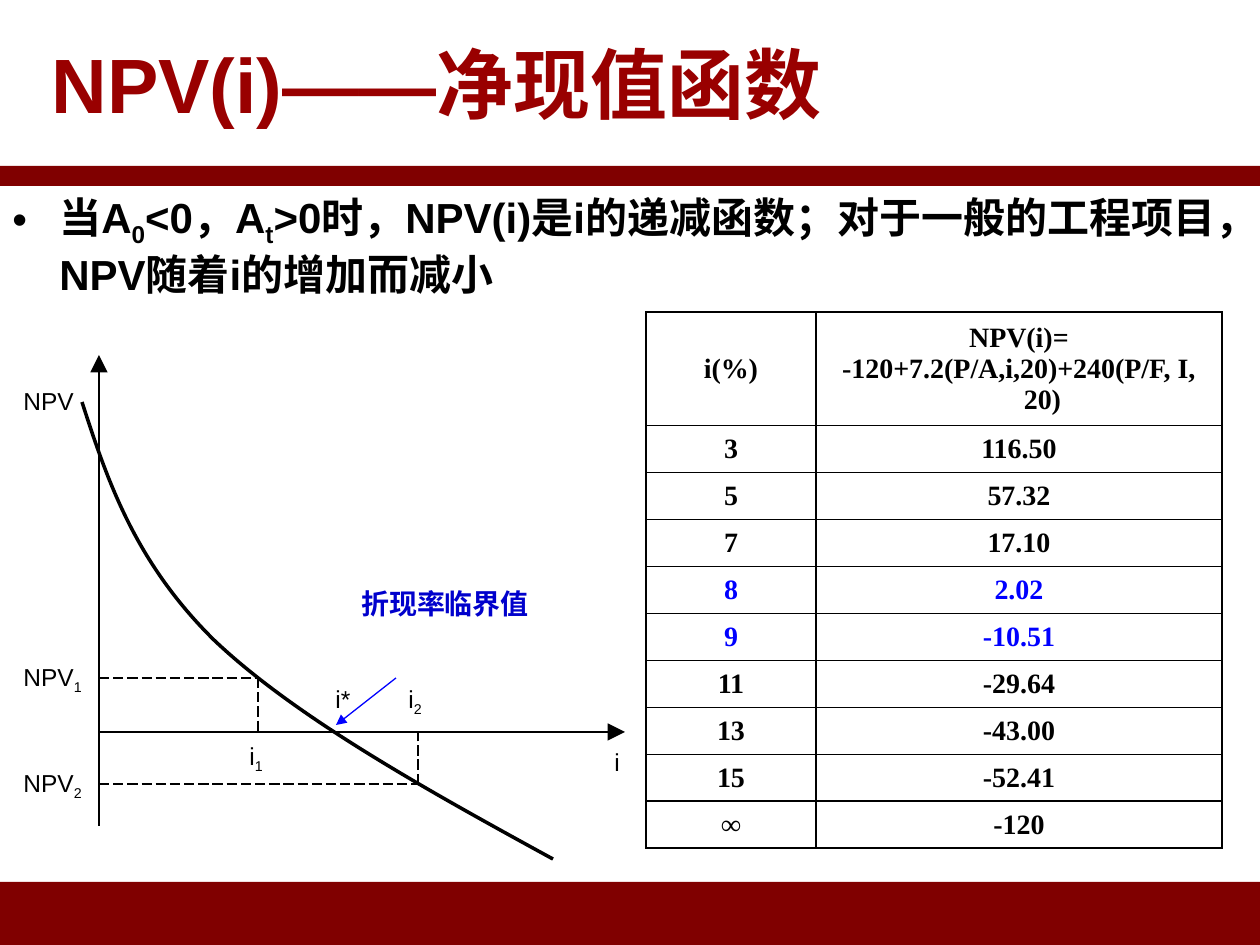
from dataclasses import dataclass

from lxml import etree
from pptx import Presentation, util as u
from pptx.dml.color import RGBColor
from pptx.enum import dml, shapes, text
from pptx.oxml import ns

PX = 914400 / 126  # EMU in one px


@dataclass
class Theme:
    maroon: str = "800000"
    title: str = "990000"
    ink: str = "000000"
    blue: str = "0000FF"
    note: str = "0000CC"
    white: str = "FFFFFF"
    sans: str = "Arial"
    serif: str = "Times New Roman"
    title_size: int = 44
    body_size: int = 24
    table_size: int = 16
    label_size: int = 14


theme = Theme()


def write(frame, *lines, size=theme.label_size, font=theme.sans, color=theme.ink,
          bold=False, align=text.PP_ALIGN.LEFT, indent=0):
    """Fill a text frame; within a line, the parts between | marks are subscripts in turn."""
    frame.word_wrap = True
    for index, line in enumerate(lines):
        paragraph = frame.add_paragraph() if index else frame.paragraphs[0]
        paragraph.alignment = align
        if indent:
            properties = paragraph._p.get_or_add_pPr()
            properties.set("marL", str(round(indent * PX)))
            properties.set("indent", str(-round(indent * PX)))
        for part, words in enumerate(line.split("|")):
            if not words:
                continue
            run = paragraph.add_run()
            run.text = words
            run.font.size = u.Pt(size)
            run.font.name = font
            run.font.bold = bold
            run.font.color.rgb = RGBColor.from_string(color)
            if part % 2:
                run._r.get_or_add_rPr().set("baseline", "-25000")


def draw_line(parent, start, end, color=theme.ink, dashed=False, head=None):
    """Draw a thin straight line, with an arrowhead of the given size at its end."""
    line = parent.add_connector(shapes.MSO_CONNECTOR.STRAIGHT,
                                *(round(value * PX) for value in (*start, *end)))
    line.line.width = u.Pt(0.75)
    line.line.color.rgb = RGBColor.from_string(color)
    if dashed:
        line.line.dash_style = dml.MSO_LINE.LONG_DASH
    if head:
        etree.SubElement(line.line._get_or_add_ln(), ns.qn("a:tailEnd"),
                         type="triangle", w=head, len=head)
    etree.SubElement(line._element.spPr, ns.qn("a:effectLst"))


presentation = Presentation()
presentation.slide_width, presentation.slide_height = round(1260 * PX), round(945 * PX)
slide = presentation.slides.add_slide(presentation.slide_layouts[5])

# Title
title = slide.shapes.title
title.left, title.top, title.width, title.height = (round(v * PX) for v in (39, 1, 1126, 163))
title.fill.solid()
title.fill.fore_color.rgb = RGBColor.from_string(theme.white)
title.text_frame.vertical_anchor = text.MSO_ANCHOR.MIDDLE
write(title.text_frame, "NPV(i)——净现值函数", size=theme.title_size,
      color=theme.title, bold=True)

# Bars under the title and at the foot
for top, height in ((166, 20), (882, 63)):
    bar = slide.shapes.add_shape(shapes.MSO_SHAPE.RECTANGLE,
                                 *(round(v * PX) for v in (0, top, 1260, height)))
    bar.shadow.inherit = False
    bar.fill.solid()
    bar.fill.fore_color.rgb = RGBColor.from_string(theme.maroon)
    bar.line.fill.background()

# Bulleted statement
body = slide.shapes.add_textbox(*(round(v * PX) for v in (0, 185, 1260, 120)))
bullet_properties = body.text_frame.paragraphs[0]._p.get_or_add_pPr()
etree.SubElement(bullet_properties, ns.qn("a:buFont"), typeface=theme.sans)
etree.SubElement(bullet_properties, ns.qn("a:buChar"), char="•")
write(body.text_frame,
      "当A|0|<0，A|t|>0时，NPV(i)是i的递减函数；对于一般的工程项目，NPV随着i的增加而减小",
      size=theme.body_size, bold=True, indent=47)

# Diagram: axes
diagram = slide.shapes.add_group_shape().shapes
axis_x, axis_y = 99, 732
draw_line(diagram, (axis_x, axis_y), (625, axis_y), head="lg")
draw_line(diagram, (axis_x, 826), (axis_x, 355), head="lg")

# Diagram: falling curve, two Bezier segments of three points each
builder = diagram.build_freeform(82, 402, scale=PX)
builder.add_line_segments([(108, 483), (136, 563), (214, 640),
                           (294, 716), (423, 788), (553, 859)], close=False)
curve = builder.convert_to_shape()
curve.shadow.inherit = False
curve.fill.background()
curve.line.width = u.Pt(2)
curve.line.color.rgb = RGBColor.from_string(theme.ink)
segments = list(curve._element.iter(ns.qn("a:lnTo")))
outline = segments[0].getparent()
for first in range(0, len(segments), 3):
    bezier = etree.SubElement(outline, ns.qn("a:cubicBezTo"))
    for segment in segments[first:first + 3]:
        bezier.append(segment[0])
        outline.remove(segment)

# Diagram: dashed guides from each point on the curve to both axes
for x, y in ((258, 678), (418, 784)):
    draw_line(diagram, (axis_x, y), (x, y), dashed=True)
    draw_line(diagram, (x, y), (x, axis_y), dashed=True)

# Diagram: labels
for label, left, top, width in (
    ("NPV|1", 11, 656, 87), ("NPV|2", 11, 762, 87), ("i|1", 237, 735, 44),
    ("i|2", 396, 678, 44), ("i*", 323, 678, 44), ("NPV", 11, 380, 87), ("i", 602, 741, 44),
):
    box = diagram.add_textbox(*(round(v * PX) for v in (left, top, width, 42)))
    write(box.text_frame, label)

# Diagram: critical discount rate
draw_line(diagram, (396, 678), (336, 725), color=theme.blue, head="med")
note = diagram.add_textbox(*(round(v * PX) for v in (336, 580, 218, 47)))
write(note.text_frame, "折现率临界值", size=theme.table_size, color=theme.note,
      bold=True, align=text.PP_ALIGN.CENTER)

# Table of values
rows = [
    (["i(%)"], ["NPV(i)=", "-120+7.2(P/A,i,20)+240(P/F, I, 20)"]),
    *(([rate], [value]) for rate, value in (
        ("3", "116.50"), ("5", "57.32"), ("7", "17.10"), ("8", "2.02"), ("9", "-10.51"),
        ("11", "-29.64"), ("13", "-43.00"), ("15", "-52.41"), ("∞", "-120"))),
]
critical_rates = (["8"], ["9"])
table = slide.shapes.add_table(len(rows), 2,
                               *(round(v * PX) for v in (646, 312, 576, 536))).table
table.first_row = table.horz_banding = False
for column, width in zip(table.columns, (170, 406)):
    column.width = round(width * PX)
for row_index, row in enumerate(rows):
    table.rows[row_index].height = round((47 if row_index else 113) * PX)
    for column_index, lines in enumerate(row):
        cell = table.cell(row_index, column_index)
        cell.vertical_anchor = text.MSO_ANCHOR.MIDDLE
        for side in ("lnL", "lnR", "lnT", "lnB"):
            border = etree.SubElement(cell._tc.get_or_add_tcPr(), ns.qn(f"a:{side}"),
                                      w=str(u.Pt(1)))
            paint = etree.SubElement(border, ns.qn("a:solidFill"))
            etree.SubElement(paint, ns.qn("a:srgbClr"), val=theme.ink)
        cell.fill.background()
        write(cell.text_frame, *lines, size=theme.table_size, font=theme.serif, bold=True,
              color=theme.blue if row[0] in critical_rates else theme.ink,
              align=text.PP_ALIGN.CENTER, indent=47)

presentation.save("out.pptx")
